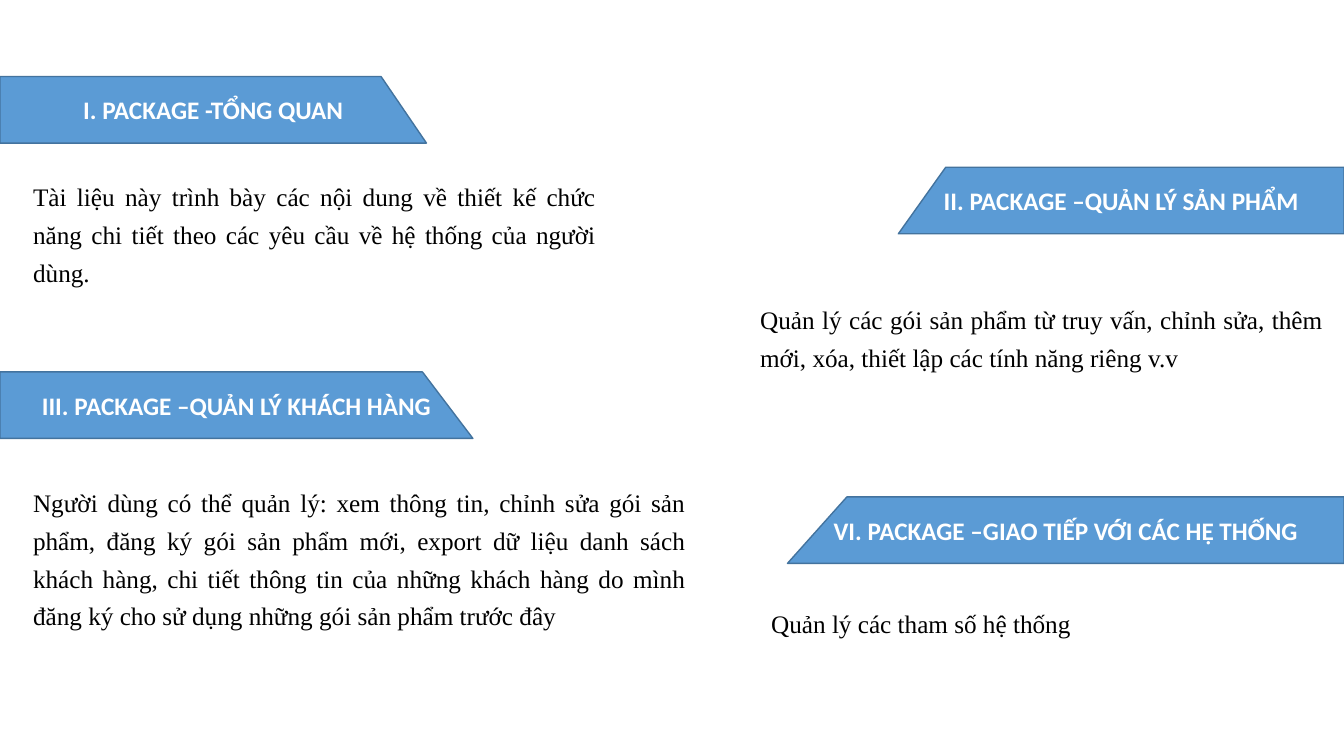
"""Build a slide of four package headings, each with a short description."""
from dataclasses import dataclass

import pptx
import pptx.dml.color
import pptx.enum.text
import pptx.shapes.autoshape
import pptx.slide
import pptx.util
from pptx.util import Inches


@dataclass(frozen=True)
class Theme:
    fill: str = "5B9BD5"
    line: str = "43739E"
    heading: str = "FFFFFF"
    body: str = "000000"
    heading_font: str = "Calibri"
    body_font: str = "Times New Roman"
    size: int = 18


@dataclass(frozen=True)
class Banner:
    text: str
    edge: float
    top: float
    shoulder: float
    tip: float


@dataclass(frozen=True)
class Note:
    text: str
    left: float
    top: float
    width: float
    height: float


THEME = Theme()
WIDTH, HEIGHT = 13.33, 7.5
BANNER_HEIGHT = 0.66

BANNERS = [
    Banner("I. PACKAGE -TỔNG QUAN", 0, 0.76, 3.78, 4.23),
    Banner("II. PACKAGE –QUẢN LÝ SẢN PHẨM", WIDTH, 1.66, 9.38, 8.91),
    Banner("III. PACKAGE –QUẢN LÝ KHÁCH HÀNG", 0, 3.69, 4.19, 4.69),
    Banner("VI. PACKAGE –GIAO TIẾP VỚI CÁC HỆ THỐNG", WIDTH, 4.93, 8.4, 7.81),
]

NOTES = [
    Note("Tài liệu này trình bày các nội dung về thiết kế chức năng chi tiết "
         "theo các yêu cầu về hệ thống của người dùng.", 0.23, 1.68, 5.78, 1.24),
    Note("Quản lý các gói sản phẩm từ truy vấn, chỉnh sửa, thêm mới, xóa, "
         "thiết lập các tính năng riêng v.v", 7.44, 2.9, 5.78, 0.86),
    Note("Người dùng có thể quản lý: xem thông tin, chỉnh sửa gói sản phẩm, "
         "đăng ký gói sản phẩm mới, export dữ liệu danh sách khách hàng, "
         "chi tiết thông tin của những khách hàng do mình đăng ký cho sử dụng "
         "những gói sản phẩm trước đây", 0.23, 4.71, 6.67, 1.62),
    Note("Quản lý các tham số hệ thống", 7.55, 5.91, 5.78, 0.44),
]


def rgb(value: str) -> pptx.dml.color.RGBColor:
    return pptx.dml.color.RGBColor.from_string(value)


def write(s: pptx.shapes.autoshape.Shape, text: str, font: str, color: str,
          bold: bool, align: pptx.enum.text.PP_ALIGN):
    tf = s.text_frame
    tf.word_wrap = True
    p = tf.paragraphs[0]
    p.text = text
    p.alignment = align
    p.font.name = font
    p.font.size = pptx.util.Pt(THEME.size)
    p.font.bold = bold
    p.font.color.rgb = rgb(color)
    return p


def draw_banner(slide: pptx.slide.Slide, banner: Banner) -> None:
    bottom = banner.top + BANNER_HEIGHT
    start, *rest = [
        (Inches(x), Inches(y))
        for x, y in [(banner.edge, banner.top), (banner.shoulder, banner.top),
                     (banner.tip, bottom), (banner.edge, bottom)]
    ]
    builder = slide.shapes.build_freeform(*start)
    builder.add_line_segments(rest, close=True)
    s = builder.convert_to_shape()
    s.shadow.inherit = False
    s.fill.solid()
    s.fill.fore_color.rgb = rgb(THEME.fill)
    s.line.color.rgb = rgb(THEME.line)
    s.line.width = pptx.util.Pt(1)
    s.text_frame.vertical_anchor = pptx.enum.text.MSO_ANCHOR.MIDDLE
    write(s, banner.text, THEME.heading_font, THEME.heading, True,
          pptx.enum.text.PP_ALIGN.CENTER)


def draw_note(slide: pptx.slide.Slide, note: Note) -> None:
    s = slide.shapes.add_textbox(Inches(note.left), Inches(note.top),
                                 Inches(note.width), Inches(note.height))
    s.text_frame.auto_size = pptx.enum.text.MSO_AUTO_SIZE.SHAPE_TO_FIT_TEXT
    p = write(s, note.text, THEME.body_font, THEME.body, False,
              pptx.enum.text.PP_ALIGN.JUSTIFY)
    p.line_spacing = 1.25
    p.space_before = pptx.util.Pt(6)


def main() -> None:
    prs = pptx.Presentation()
    prs.slide_width, prs.slide_height = Inches(WIDTH), Inches(HEIGHT)
    slide = prs.slides.add_slide(prs.slide_layouts[6])
    for banner, note in zip(BANNERS, NOTES):
        draw_banner(slide, banner)
        draw_note(slide, note)
    prs.save("out.pptx")


if __name__ == "__main__":
    main()
